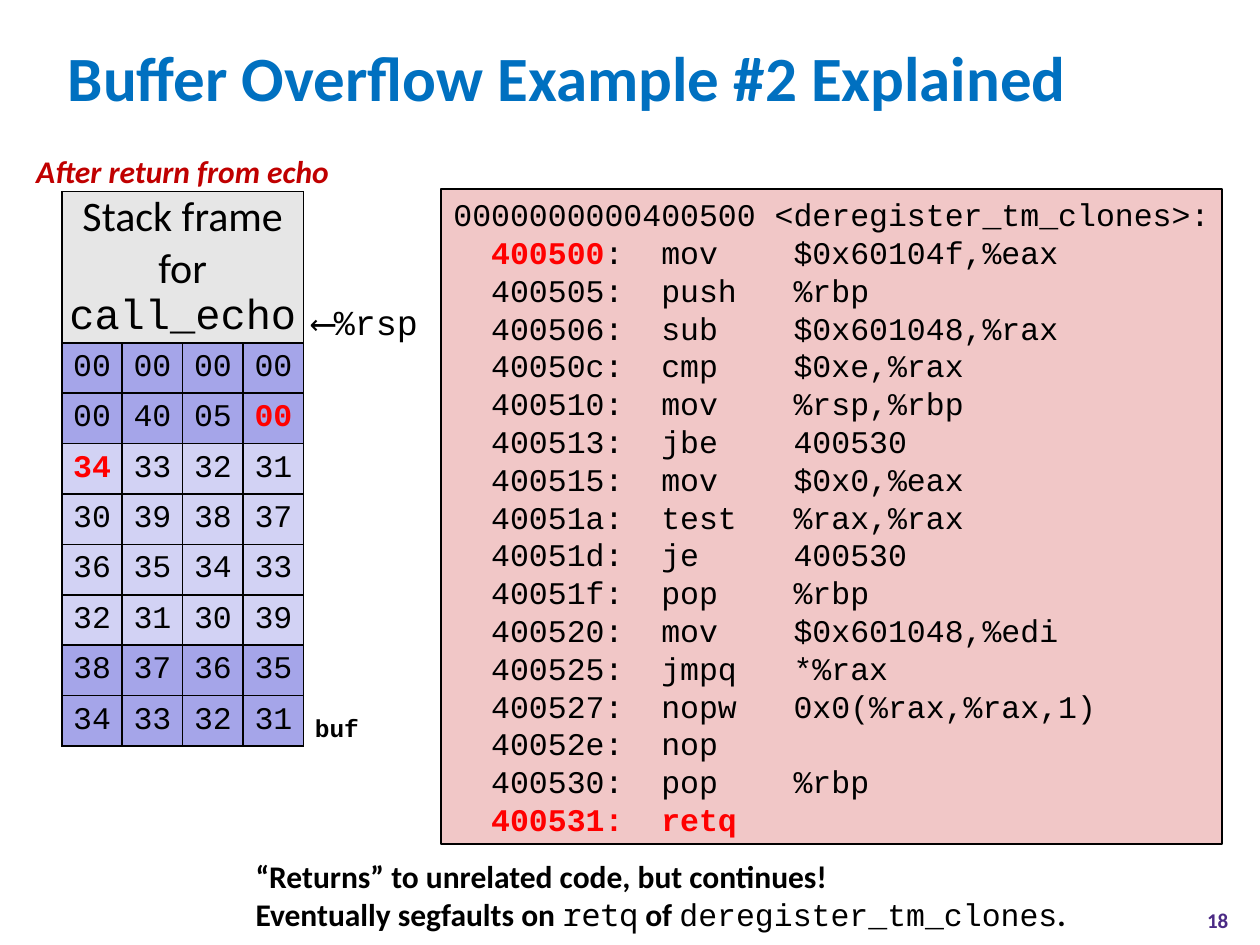
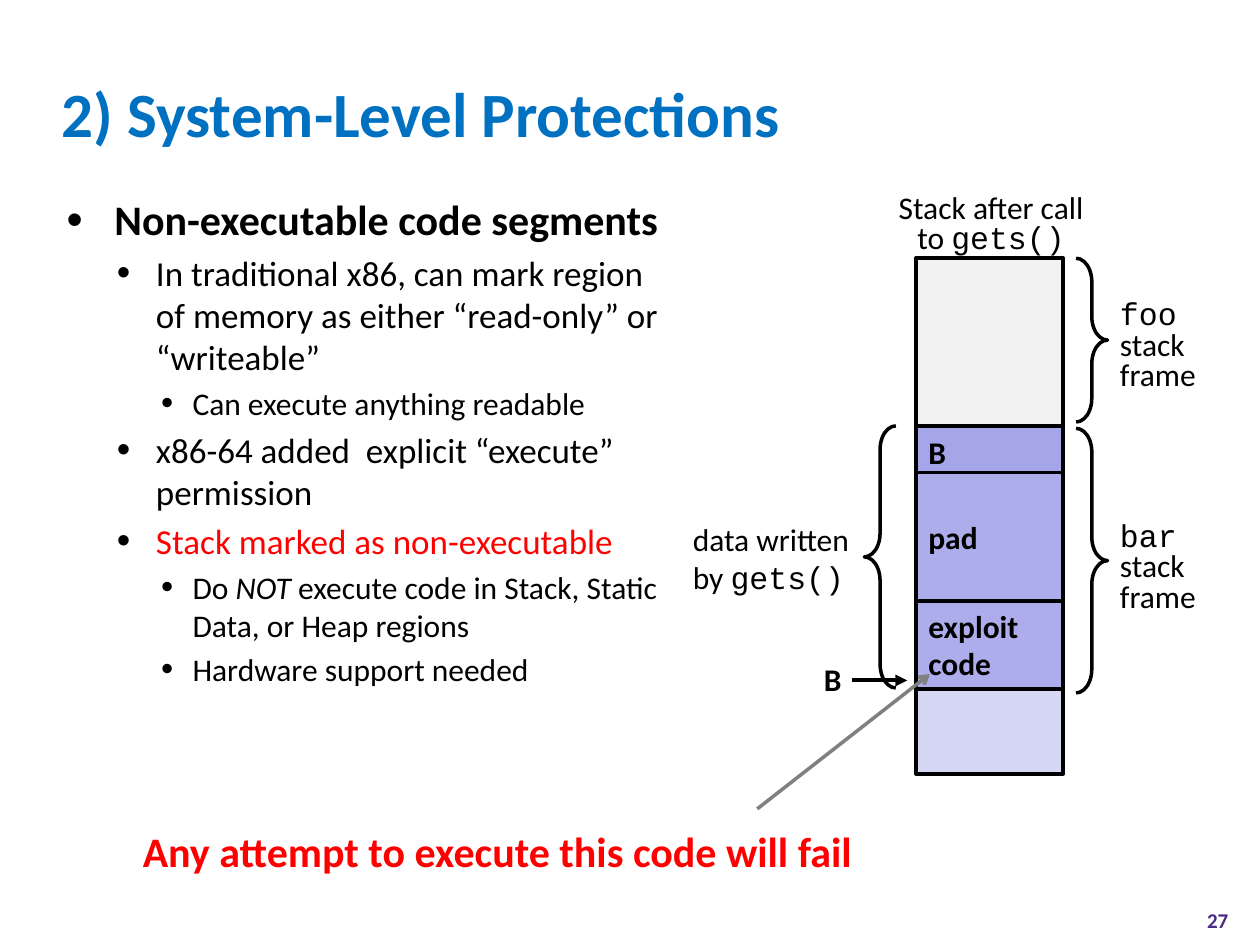
"""Build two slides on buffer overflows and system-level protections."""
from dataclasses import dataclass

from lxml.etree import SubElement
from pptx import Presentation
from pptx.dml.color import RGBColor
from pptx.enum.shapes import MSO_CONNECTOR as Connector
from pptx.enum.shapes import MSO_SHAPE as Shape
from pptx.enum.text import MSO_ANCHOR as Anchor
from pptx.enum.text import PP_ALIGN as Align
from pptx.oxml.ns import qn
from pptx.util import Inches, Pt


@dataclass(frozen=True)
class Theme:
    sans: str = "Calibri"
    mono: str = "Courier New"
    wide_mono: str = "Noto Sans Mono"
    black: str = "000000"
    title: str = "0070C0"
    number: str = "4B2A85"
    red: str = "FF0000"
    dark_red: str = "C00000"
    gray: str = "808080"
    code_fill: str = "F1C7C7"
    frame_fill: str = "E6E6E6"
    caller_fill: str = "F2F2F2"
    strong_fill: str = "A5A5E9"
    soft_fill: str = "D2D2F4"
    written_fill: str = "ADADEB"
    free_fill: str = "D6D6F5"
    title_size: int = 36
    large: int = 24
    medium: int = 20
    text: int = 18
    small: int = 14
    tiny: int = 12


THEME = Theme()


@dataclass(frozen=True)
class Style:
    size: int = THEME.text
    font: str = THEME.sans
    color: str = THEME.black
    bold: bool = False
    italic: bool = False
    align: Align = Align.LEFT
    spacing: object = None


@dataclass(frozen=True)
class Span:
    text: str
    font: str = None
    color: str = None
    bold: bool = None
    italic: bool = None


PLAIN = Style()
BOLD = Style(bold=True)
TITLE = Style(THEME.title_size, color=THEME.title, bold=True)
NUMBER = Style(THEME.tiny, color=THEME.number, bold=True, align=Align.CENTER)
CODE = Style(font=THEME.mono, spacing=Pt(21.6))
BYTE = Style(font=THEME.mono, align=Align.CENTER)
TIGHT = Style(spacing=0.8)
TIGHT_CENTERED = Style(spacing=0.8, align=Align.CENTER)

BULLETS = [(0.38, -0.38, THEME.large), (0.71, -0.31, THEME.medium), (1, -0.25, THEME.text)]

INSTRUCTIONS = [
    ("400505", "push", "%rbp"),
    ("400506", "sub", "$0x601048,%rax"),
    ("40050c", "cmp", "$0xe,%rax"),
    ("400510", "mov", "%rsp,%rbp"),
    ("400513", "jbe", "400530"),
    ("400515", "mov", "$0x0,%eax"),
    ("40051a", "test", "%rax,%rax"),
    ("40051d", "je", "400530"),
    ("40051f", "pop", "%rbp"),
    ("400520", "mov", "$0x601048,%edi"),
    ("400525", "jmpq", "*%rax"),
    ("400527", "nopw", "0x0(%rax,%rax,1)"),
    ("40052e", "nop", ""),
    ("400530", "pop", "%rbp"),
]

STACK_BYTES = [
    "00 00 00 00", "00 40 05 00", "34 33 32 31", "30 39 38 37",
    "36 35 34 33", "32 31 30 39", "38 37 36 35", "34 33 32 31",
]
SOFT_ROWS = range(3, 7)
OVERWRITTEN_BYTES = {(2, 3), (3, 0)}


def rgb(color):
    return RGBColor.from_string(color)


def first_set(value, default):
    return default if value is None else value


def write_paragraph(para, content, style):
    spans = [Span(content)] if isinstance(content, str) else content
    para.alignment = style.align
    if style.spacing:
        para.line_spacing = style.spacing
    for span in spans:
        run = para.add_run()
        run.text = span.text
        run.font.size = Pt(style.size)
        run.font.name = span.font or style.font
        run.font.color.rgb = rgb(span.color or style.color)
        run.font.bold = first_set(span.bold, style.bold)
        run.font.italic = first_set(span.italic, style.italic)


def write_text(frame, paragraphs, style):
    for index, content in enumerate(paragraphs):
        para = frame.add_paragraph() if index else frame.paragraphs[0]
        write_paragraph(para, content, style)


def add_label(slide, place, paragraphs, style=PLAIN, anchor=Anchor.TOP, wrap=False, inset=None):
    box = slide.shapes.add_textbox(*map(Inches, place))
    frame = box.text_frame
    frame.word_wrap = wrap
    frame.vertical_anchor = anchor
    if inset is not None:
        frame.margin_left = frame.margin_right = Inches(inset)
        frame.margin_top = frame.margin_bottom = Inches(inset)
    write_text(frame, paragraphs, style)


def add_box(slide, place, fill, line_width, paragraphs=(), style=BOLD, anchor=Anchor.MIDDLE, wrap=True):
    box = slide.shapes.add_shape(Shape.RECTANGLE, *map(Inches, place))
    box.shadow.inherit = False
    box.fill.solid()
    box.fill.fore_color.rgb = rgb(fill)
    box.line.color.rgb = rgb(THEME.black)
    box.line.width = Pt(line_width)
    box.text_frame.word_wrap = wrap
    box.text_frame.vertical_anchor = anchor
    write_text(box.text_frame, paragraphs, style)


def add_brace(slide, kind, left, top, height):
    brace = slide.shapes.add_shape(kind, *map(Inches, (left, top, 0.25, height)))
    brace.shadow.inherit = False
    brace.fill.background()
    brace.line.color.rgb = rgb(THEME.black)
    brace.line.width = Pt(2)
    brace.adjustments[0] = 0.75


def add_arrow(slide, start, end, color, width, head):
    arrow = slide.shapes.add_connector(Connector.STRAIGHT, *map(Inches, (*start, *end)))
    arrow.line.color.rgb = rgb(color)
    arrow.line.width = Pt(width)
    SubElement(arrow.line._get_or_add_ln(), qn("a:tailEnd"), type=head)
    SubElement(arrow._element.spPr, qn("a:effectLst"))


def add_bullets(slide, place, items):
    box = slide.shapes.add_textbox(*map(Inches, place))
    frame = box.text_frame
    frame.word_wrap = True
    for index, (level, content) in enumerate(items):
        margin, indent, size = BULLETS[level]
        para = frame.add_paragraph() if index else frame.paragraphs[0]
        para.level = level
        properties = para._p.get_or_add_pPr()
        properties.set("marL", str(Inches(margin)))
        properties.set("indent", str(Inches(indent)))
        bullet_color = SubElement(properties, qn("a:buClr"))
        SubElement(bullet_color, qn("a:srgbClr"), val=THEME.black)
        SubElement(properties, qn("a:buSzPct"), val="110000")
        SubElement(properties, qn("a:buFont"), typeface="Arial")
        SubElement(properties, qn("a:buChar"), char="•")
        if index:
            para.space_before = Pt(size * 0.2)
        write_paragraph(para, content, Style(size, bold=level == 0))


def format_cell(cell, fill):
    cell.margin_left = cell.margin_right = cell.margin_top = cell.margin_bottom = 0
    cell.vertical_anchor = Anchor.MIDDLE
    properties = cell._tc.get_or_add_tcPr()
    for side in ("lnL", "lnR", "lnT", "lnB"):
        border = SubElement(properties, qn(f"a:{side}"), w=str(Pt(1)))
        SubElement(SubElement(border, qn("a:solidFill")), qn("a:srgbClr"), val=THEME.black)
    cell.fill.solid()
    cell.fill.fore_color.rgb = rgb(fill)


def add_stack_table(slide):
    place = map(Inches, (0.49, 1.52, 1.92, 4.4))
    table = slide.shapes.add_table(len(STACK_BYTES) + 1, 4, *place).table
    table.first_row = table.horz_banding = False
    for column in table.columns:
        column.width = Inches(0.48)
    for number, row in enumerate(table.rows):
        row.height = Inches(0.4 if number else 1.2)
        fill = THEME.soft_fill if number in SOFT_ROWS else THEME.strong_fill
        for cell in row.cells:
            format_cell(cell, fill if number else THEME.frame_fill)
    header = table.cell(0, 0)
    header.merge(table.cell(0, 3))
    heading = [Span("Stack frame for "), Span("call_echo", THEME.mono)]
    write_text(header.text_frame, [heading], Style(THEME.large, align=Align.CENTER))
    for number, line in enumerate(STACK_BYTES, 1):
        for column, value in enumerate(line.split()):
            marked = (number, column) in OVERWRITTEN_BYTES
            span = Span(value, color=THEME.red if marked else None, bold=marked)
            write_text(table.cell(number, column).text_frame, [[span]], BYTE)


def add_slide(deck, title, left, top, number):
    slide = deck.slides.add_slide(deck.slide_layouts[6])
    add_label(slide, (left, top, 9.19, 0.83), [title], TITLE, Anchor.MIDDLE, wrap=True)
    add_label(slide, (9.33, 7.1, 0.67, 0.4), [number], NUMBER, Anchor.MIDDLE, wrap=True)
    return slide


def build_overflow_slide(deck):
    slide = add_slide(deck, "Buffer Overflow Example #2 Explained", 0.44, 0.19, "18")
    code = [
        "0000000000400500 <deregister_tm_clones>:",
        [Span("  "), Span("400500", color=THEME.red, bold=True), Span(":  mov    $0x60104f,%eax")],
        *(f"  {address}:  {name:<7}{operand}".rstrip() for address, name, operand in INSTRUCTIONS),
        [Span("  400531:  retq", color=THEME.red, bold=True)],
    ]
    add_box(slide, (3.5, 1.5, 6.2, 5.2), THEME.code_fill, 1, code, CODE, Anchor.TOP, wrap=False)
    add_label(slide, (1.93, 6.75, 7.3, 0.71), [
        "“Returns” to unrelated code, but continues!",
        [Span("Eventually segfaults on "), Span("retq", THEME.wide_mono, bold=False), Span(" of "),
         Span("deregister_tm_clones", THEME.mono, bold=False), Span(".")],
    ], BOLD, wrap=True)
    add_stack_table(slide)
    add_label(slide, (2.4, 5.57, 0.55, 0.41), ["buf"],
              Style(THEME.small, THEME.mono, bold=True), Anchor.MIDDLE)
    add_label(slide, (2.4, 2.4, 1, 0.41), ["⟵%rsp"],
              Style(THEME.medium, THEME.mono, align=Align.CENTER, spacing=Pt(16)),
              Anchor.MIDDLE, inset=0)
    add_label(slide, (0.05, 1.16, 2.8, 0.4), ["After return from echo"],
              Style(color=THEME.dark_red, bold=True, italic=True, align=Align.CENTER), wrap=True)


def build_protection_slide(deck):
    slide = add_slide(deck, "2) System-Level Protections", 0.39, 0.48, "27")
    add_bullets(slide, (0.43, 1.49, 5, 5.44), [
        (0, "Non-executable code segments"),
        (1, "In traditional x86, can mark region of memory as either “read-only” or “writeable”"),
        (2, "Can execute anything readable"),
        (1, "x86-64 added  explicit “execute” permission"),
        (1, [Span("Stack marked as non-executable", color=THEME.red)]),
        (2, [Span("Do "), Span("NOT", italic=True),
             Span(" execute code in Stack, Static Data, or Heap regions")]),
        (2, "Hardware support needed"),
    ])
    gets_call = Span("gets()", THEME.mono)
    add_label(slide, (6.99, 1.5, 1.75, 0.6),
              ["Stack after call", [Span("to "), gets_call]], TIGHT_CENTERED)
    for top, height, fill, lines in [
        (3.38, 0.42, THEME.strong_fill, ["B"]),
        (2.05, 1.33, THEME.caller_fill, []),
        (5.46, 0.68, THEME.free_fill, []),
        (4.76, 0.71, THEME.written_fill, ["exploit", "code"]),
        (3.75, 1.02, THEME.written_fill, ["pad"]),
    ]:
        add_box(slide, (7.27, top, 1.17, height), fill, 2.25, lines)
    for name, label_top, brace_top, brace_height in [("foo", 2.34, 2.05, 1.3), ("bar", 4.1, 3.4, 2.1)]:
        add_label(slide, (8.79, label_top, 0.81, 0.83),
                  [[Span(name, THEME.mono)], "stack", "frame"], TIGHT, Anchor.MIDDLE)
        add_brace(slide, Shape.RIGHT_BRACE, 8.54, brace_top, brace_height)
    add_label(slide, (5.4, 4.07, 1.5, 0.71),
              ["data written", [Span("by "), gets_call]], anchor=Anchor.MIDDLE, wrap=True)
    add_brace(slide, Shape.LEFT_BRACE, 6.86, 3.38, 2.08)
    add_label(slide, (6.44, 5.19, 0.34, 0.4), ["B"], BOLD, Anchor.MIDDLE)
    add_arrow(slide, (6.76, 5.4), (7.2, 5.4), THEME.black, 2.25, "triangle")
    add_arrow(slide, (6.01, 6.42), (7.38, 5.35), THEME.gray, 2, "arrow")
    add_label(slide, (0.97, 6.5, 5.89, 0.5), ["Any attempt to execute this code will fail"],
              Style(THEME.large, color=THEME.red, bold=True, align=Align.RIGHT))


def main():
    deck = Presentation()
    deck.slide_width, deck.slide_height = Inches(10), Inches(7.5)
    build_overflow_slide(deck)
    build_protection_slide(deck)
    deck.save("out.pptx")


if __name__ == "__main__":
    main()
